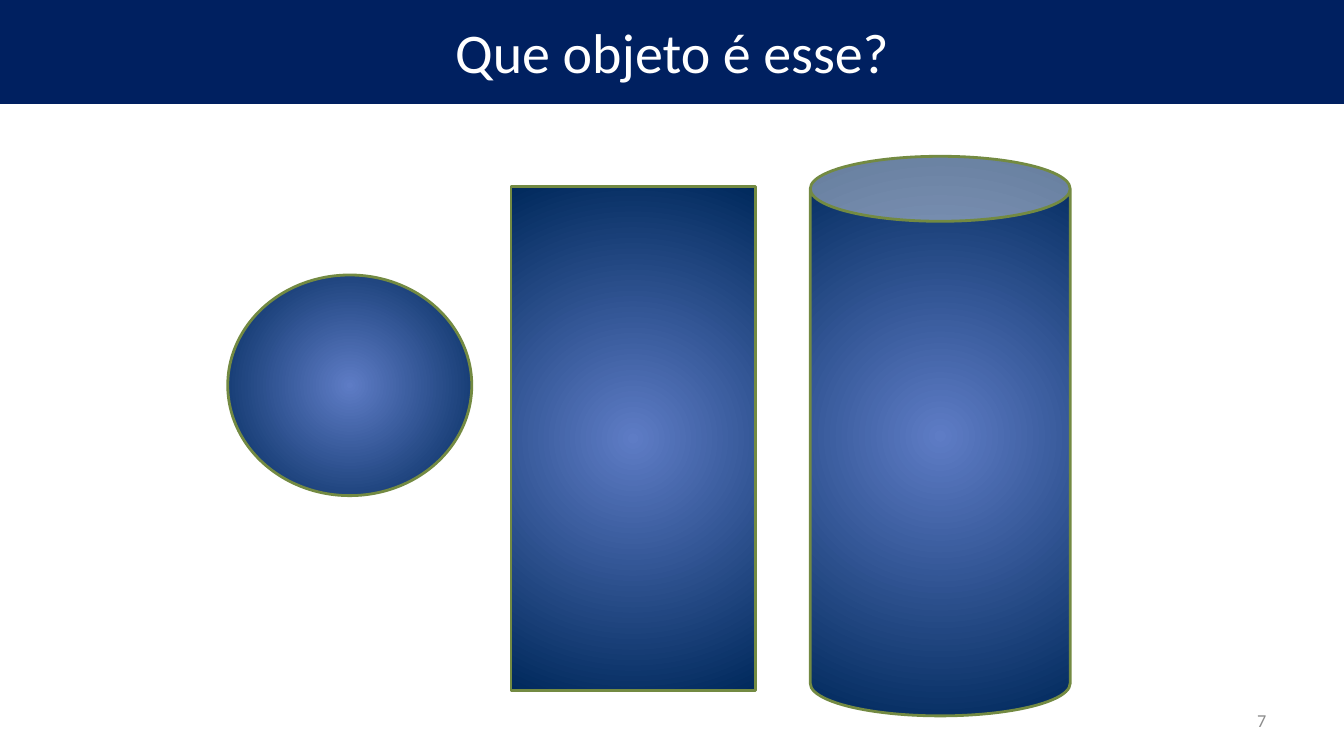
from dataclasses import dataclass

from lxml import etree
from pptx import Presentation
from pptx import util as u
from pptx.dml import color
from pptx.enum import shapes, text
from pptx.oxml import ns


@dataclass(frozen=True)
class Theme:
    font: str = "Calibri"
    navy: str = "002060"
    core: str = "5E7CC5"
    rim: str = "00295C"
    edge: str = "738A42"
    white: str = "FFFFFF"
    gray: str = "8C8C8C"
    title: int = 40
    small: int = 13
    line: int = 2


THEME = Theme()
KIND = shapes.MSO_SHAPE
WIDE, HIGH, HEAD = 33.87, 19.05, 2.59


def rgb(code):
    return color.RGBColor.from_string(code)


def place(box, left, top, wide, high):
    """Turn a place inside a box into slide lengths."""
    return [u.Cm(n) for n in (box[0] + left, box[1] + top, wide, high)]


def write(shape, words, size, ink, align):
    frame = shape.text_frame
    for key, value in {"word_wrap": True,
                       "vertical_anchor": text.MSO_ANCHOR.MIDDLE}.items():
        setattr(frame, key, value)
    para = frame.paragraphs[0]
    para.alignment = align
    run = para.add_run()
    run.text = words
    for key, value in {"name": THEME.font, "size": u.Pt(size)}.items():
        setattr(run.font, key, value)
    run.font.color.rgb = rgb(ink)


def draw(slide, kind, spot, edge):
    shape = slide.shapes.add_shape(kind, *spot)
    shape.shadow.inherit = False
    shape.line.color.rgb = rgb(edge)
    shape.line.width = u.Pt(THEME.line)
    return shape


def glow(shape):
    """Fill a shape with a gradient that spreads from its centre."""
    shape.fill.gradient()
    for stop, code in zip(shape.fill.gradient_stops, (THEME.core, THEME.rim)):
        stop.color.rgb = rgb(code)
    grad = shape.element.spPr.find(ns.qn("a:gradFill"))
    grad.remove(grad.find(ns.qn("a:lin")))
    ring = etree.SubElement(grad, ns.qn("a:path"), path="circle")
    etree.SubElement(ring, ns.qn("a:fillToRect"),
                     {side: "50000" for side in "ltrb"})


def banner(slide, box):
    shape = draw(slide, KIND.RECTANGLE, place(box, 0, 0, *box[2:]), THEME.navy)
    shape.fill.solid()
    shape.fill.fore_color.rgb = rgb(THEME.navy)
    write(shape, "Que objeto é esse?", THEME.title, THEME.white,
          text.PP_ALIGN.CENTER)


def solids(slide, box):
    # Side view, top view and the solid they describe
    parts = [
        (KIND.PARALLELOGRAM, (12.88, 2.11, 6.15, 12.7), 0),
        (KIND.OVAL, (5.74, 4.34, 6.15, 5.56), None),
        (KIND.CAN, (20.42, 1.35, 6.55, 14.1), 0.25),
    ]
    for kind, spot, bend in parts:
        shape = draw(slide, kind, place(box, *spot), THEME.edge)
        if bend is not None:
            shape.adjustments[0] = bend
        glow(shape)


def number(slide, box):
    wide, high = 7.9, 1.02
    spot = place(box, box[2] - wide - 1.71, box[3] - high - 0.38, wide, high)
    write(slide.shapes.add_textbox(*spot), "7", THEME.small, THEME.gray,
          text.PP_ALIGN.RIGHT)


def main():
    deck = Presentation()
    deck.slide_width, deck.slide_height = u.Cm(WIDE), u.Cm(HIGH)
    slide = deck.slides.add_slide(deck.slide_layouts[6])
    body = (0, HEAD, WIDE, HIGH - HEAD)

    # Page number at the back, then figures, then title bar
    number(slide, body)
    solids(slide, body)
    banner(slide, (0, 0, WIDE, HEAD))
    deck.save("out.pptx")


if __name__ == "__main__":
    main()
